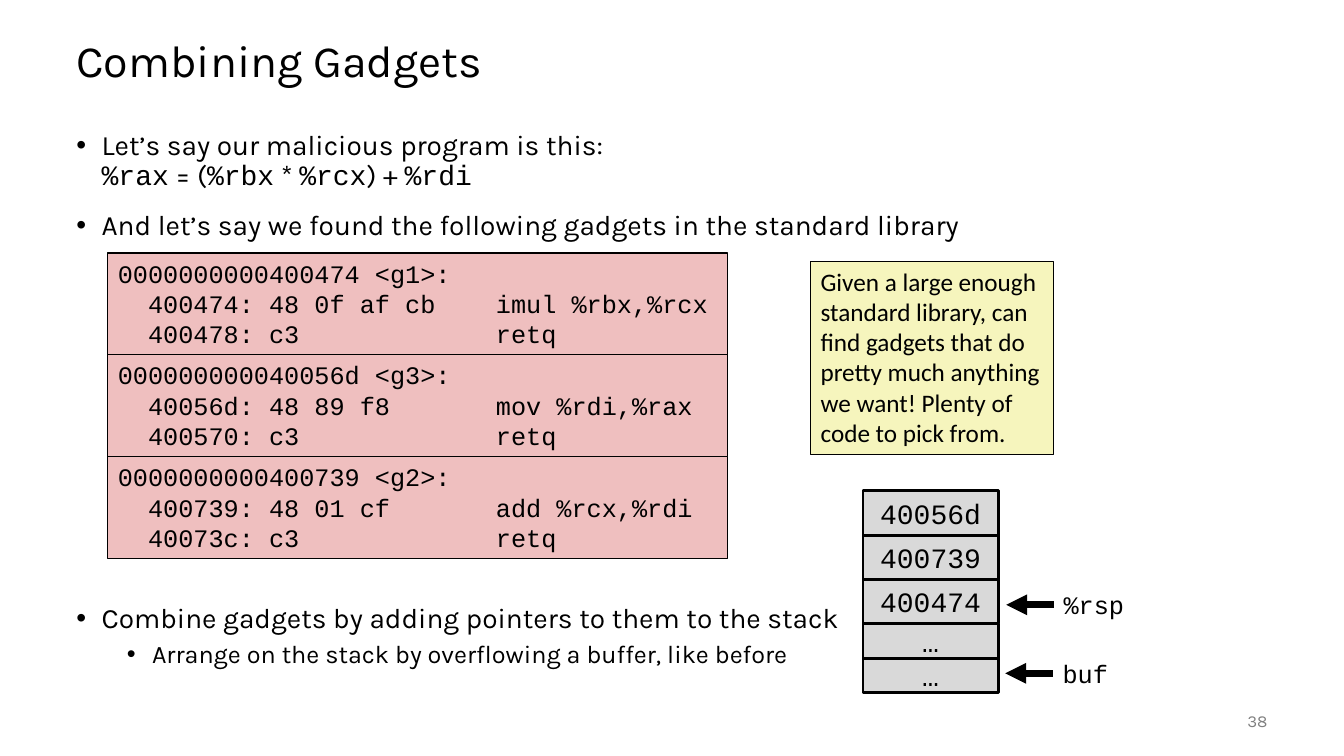
from lxml.etree import SubElement
from pptx import Presentation
from pptx.dml.color import RGBColor
from pptx.enum.shapes import MSO_CONNECTOR, MSO_SHAPE
from pptx.enum.text import MSO_ANCHOR, PP_ALIGN
from pptx.oxml.ns import qn
from pptx.util import Emu, Pt

KARLA, MONO, CALIBRI = "Karla", "Courier New", "Calibri"
BLACK, PINK, YELLOW, GREY, NUMBER = "000000", "EFBFBF", "F6F5BD", "D9D9D9", "808080"

GADGETS = [
    ["0000000000400474 <g1>:",
     "  400474: 48 0f af cb    imul %rbx,%rcx",
     "  400478: c3             retq"],
    ["000000000040056d <g3>:",
     "  40056d: 48 89 f8       mov %rdi,%rax",
     "  400570: c3             retq"],
    ["0000000000400739 <g2>:",
     "  400739: 48 01 cf       add %rcx,%rdi",
     "  40073c: c3             retq"],
]
NOTE = ("Given a large enough\vstandard library, can\vfind gadgets that do\v"
        "pretty much anything\vwe want! Plenty of\vcode to pick from.")
FORMULA = [("%rax", MONO), (" = (", KARLA), ("%rbx", MONO), (" * ", KARLA),
           ("%rcx", MONO), (") + ", KARLA), ("%rdi", MONO)]
STACK = [("40056d", 44), ("400739", 44), ("400474", 44), ("…", 34), ("…", 34)]


def px(n):
    """100 px to the inch."""
    return Emu(n * 9144)


def color(value):
    return RGBColor.from_string(value)


def style_run(r, size, font, c=BLACK):
    r.font.size = Pt(size)
    r.font.name = font
    r.font.color.rgb = color(c)


def fill_text(sp, lines, size, font, c=BLACK, align=PP_ALIGN.LEFT, anchor=MSO_ANCHOR.TOP):
    tf = sp.text_frame
    tf.word_wrap = True
    tf.vertical_anchor = anchor
    tf.text = "\n".join(lines)
    for p in tf.paragraphs:
        p.alignment = align
        for r in p.runs:
            style_run(r, size, font, c)


def add_text(s, box, text, size, font, **style):
    sp = s.shapes.add_textbox(*map(px, box))
    fill_text(sp, [text], size, font, **style)
    return sp


def add_box(s, box, fill, line_width, lines, size, font, **style):
    sp = s.shapes.add_shape(MSO_SHAPE.RECTANGLE, *map(px, box))
    sp.shadow.inherit = False
    sp.fill.solid()
    sp.fill.fore_color.rgb = color(fill)
    sp.line.color.rgb = color(BLACK)
    sp.line.width = Pt(line_width)
    fill_text(sp, lines, size, font, **style)


def add_arrow(s, x1, x2, y):
    cx = s.shapes.add_connector(MSO_CONNECTOR.STRAIGHT, px(x1), px(y), px(x2), px(y))
    cx.line.color.rgb = color(BLACK)
    cx.line.width = Pt(5)
    SubElement(cx.line._get_or_add_ln(), qn("a:tailEnd"), type="triangle")
    SubElement(cx._element.spPr, qn("a:effectLst"))


def add_bullets(s, box, items):
    """Each item is (level, text)."""
    tf = s.shapes.add_textbox(*map(px, box)).text_frame
    tf.word_wrap = True
    tf.text = "\n".join(text for _, text in items)
    for i, (p, (level, _)) in enumerate(zip(tf.paragraphs, items)):
        pPr = p._p.get_or_add_pPr()
        pPr.set("marL", str(px(25 + 50 * level)))
        pPr.set("indent", str(px(-25)))
        SubElement(pPr, qn("a:buFont"), typeface="Arial")
        SubElement(pPr, qn("a:buChar"), char="•")
        p.level = level
        p.line_spacing = 0.9
        if i:
            p.space_before = Pt(5 if level else 14)
        for r in p.runs:
            style_run(r, 18 if level else 20, KARLA)
    return tf


def add_pointer(s, label, x, y):
    add_text(s, (x, y - 20, 102, 40), label, 18, MONO)
    add_arrow(s, x, x - 47, y)


def main():
    prs = Presentation()
    prs.slide_width, prs.slide_height = px(1333), px(750)
    s = prs.slides.add_slide(prs.slide_layouts[6])

    # Title
    sp = add_text(s, (66, 25, 1200, 75), "Combining Gadgets", 32, KARLA,
                  anchor=MSO_ANCHOR.MIDDLE)
    sp.text_frame.paragraphs[0].line_spacing = 0.9

    # Bullets
    tf = add_bullets(s, (66, 125, 1200, 125), [
        (0, "Let’s say our malicious program is this:"),
        (0, "And let’s say we found the following gadgets in the standard library")])
    p = tf.paragraphs[0]
    p.add_line_break()
    for text, font in FORMULA:
        r = p.add_run()
        r.text = text
        style_run(r, 20, font)
    add_bullets(s, (66, 595, 790, 80), [
        (0, "Combine gadgets by adding pointers to them to the stack"),
        (1, "Arrange on the stack by overflowing a buffer, like before")])

    # Gadget listings and note
    for i, lines in enumerate(GADGETS):
        add_box(s, (107, 251 + 101 * i, 615, 101), PINK, 0.75, lines, 18, MONO)
    add_box(s, (804, 259, 241, 192), YELLOW, 0.75, [NOTE], 18, CALIBRI)

    # Stack with its pointers
    top = 487
    for text, height in STACK:
        add_box(s, (856, top, 134, height), GREY, 2, [text], 20, MONO,
                align=PP_ALIGN.CENTER, anchor=MSO_ANCHOR.MIDDLE)
        top += height
    add_pointer(s, "%rsp", 1045, 600)
    add_pointer(s, "buf", 1044, 668)

    # Slide number
    add_text(s, (1167, 695, 100, 40), "38", 12, KARLA, c=NUMBER,
             align=PP_ALIGN.RIGHT, anchor=MSO_ANCHOR.MIDDLE)

    prs.save("out.pptx")


if __name__ == "__main__":
    main()
